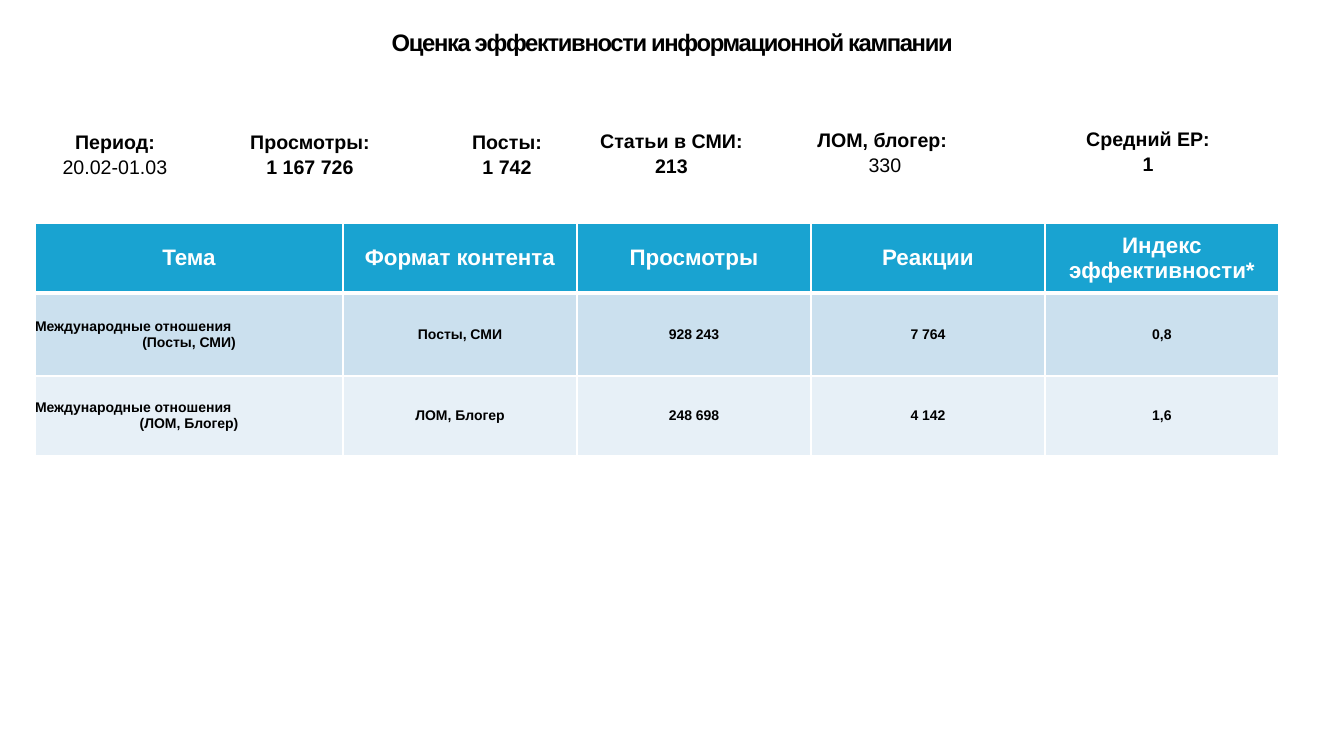
from lxml.etree import SubElement
from pptx import Presentation
from pptx.dml.color import RGBColor
from pptx.enum.text import MSO_ANCHOR, MSO_AUTO_SIZE, PP_ALIGN
from pptx.oxml.ns import qn
from pptx.util import Emu, Pt

COLORS = {"text": "000000", "white": "FFFFFF", "header": "19A3D1",
          "band_dark": "CBE0EE", "band_light": "E7F0F7"}
FONT = "Arial"
EMU_PER_INCH, PX_PER_INCH = 914400, 100.8


def px(length):
    """Turn whole pixels into EMU."""
    return Emu(round(length * EMU_PER_INCH / PX_PER_INCH))


class SlideBuilder:
    """Hold the style and the current slide."""

    def __init__(self, deck):
        """Add a blank slide to the deck."""
        self.slide = deck.slides.add_slide(deck.slide_layouts[6])

    def style(self, para, size, color="text", bold=True, align=PP_ALIGN.CENTER):
        """Set the font and alignment of a paragraph."""
        para.alignment = align
        para.font.name = FONT
        para.font.size = Pt(size)
        para.font.bold = bold
        para.font.color.rgb = RGBColor.from_string(COLORS[color])

    def text(self, left, top, width, height, lines, size, spacing=None):
        """Add a text box from pairs of wording and boldness."""
        box = self.slide.shapes.add_textbox(px(left), px(top), px(width), px(height))
        frame = box.text_frame
        frame.word_wrap = True
        frame.auto_size = MSO_AUTO_SIZE.NONE
        frame.margin_left = frame.margin_right = px(5)
        frame.margin_top = frame.margin_bottom = px(5)
        frame.text = "\n".join(wording for wording, _ in lines)
        for para, (_, bold) in zip(frame.paragraphs, lines):
            self.style(para, size, bold=bold)
            if spacing:
                para.line_spacing = spacing
        return box

    def title(self, wording):
        """Add the tightly spaced slide title."""
        box = self.text(5, 23, 1334, 126, [(wording, True)], 17)
        for span in box.text_frame.paragraphs[0].runs:
            span.font._element.set("spc", "-100")

    def borders(self, cell, bottom):
        """Draw the white borders of a cell."""
        properties = cell._tc.get_or_add_tcPr()
        for index, (side, width) in enumerate(
                (("lnL", 1), ("lnR", 1), ("lnT", 1), ("lnB", bottom))):
            line = SubElement(properties, qn(f"a:{side}"), w=str(Pt(width)))
            fill = SubElement(line, qn("a:solidFill"))
            SubElement(fill, qn("a:srgbClr"), val=COLORS["white"])
            properties.remove(line)
            properties.insert(index, line)

    def cell(self, cell, wording, fill, size, color, bottom):
        """Fill and format one table cell."""
        cell.fill.solid()
        cell.fill.fore_color.rgb = RGBColor.from_string(COLORS[fill])
        cell.vertical_anchor = MSO_ANCHOR.MIDDLE
        cell.margin_left = cell.margin_right = cell.margin_top = cell.margin_bottom = 0
        cell.text = wording
        paras = cell.text_frame.paragraphs
        for para in paras:
            self.style(para, size, color)
        if len(paras) > 1:
            paras[0].alignment = PP_ALIGN.LEFT
        self.borders(cell, bottom)

    def table(self, left, top, widths, heights, rows):
        """Add a table with a header row and banded body rows."""
        table = self.slide.shapes.add_table(
            len(rows), len(widths), px(left), px(top),
            px(sum(widths)), px(sum(heights))).table
        for column, width in zip(table.columns, widths):
            column.width = px(width)
        for index, (row, height, wordings) in enumerate(zip(table.rows, heights, rows)):
            row.height = px(height)
            if index == 0:
                look = ("header", 16, "white", 3)
            else:
                look = ("band_dark" if index % 2 else "band_light", 10, "text", 1)
            for cell, wording in zip(row.cells, wordings):
                self.cell(cell, wording, *look)


METRICS = [
    (40, 123, 150, "Период:", "20.02-01.03", False),
    (223, 123, 174, "Просмотры:", "1 167 726", True),
    (420, 123, 174, "Посты:", "1 742", True),
    (569, 122, 205, "Статьи в СМИ:", "213", True),
    (794, 121, 182, "ЛОМ, блогер: ", "330", False),
    (1057, 120, 182, "Средний ЕР:", "1", True),
]
ROWS = [
    ("Тема", "Формат контента", "Просмотры", "Реакции", "Индекс эффективности*"),
    ("Международные отношения\n(Посты, СМИ)", "Посты, СМИ", "928 243", "7 764", "0,8"),
    ("Международные отношения\n(ЛОМ, Блогер)", "ЛОМ, Блогер", "248 698", "4 142", "1,6"),
]


def main():
    """Build and save the campaign slide."""
    deck = Presentation()
    deck.slide_width, deck.slide_height = px(1344), px(756)
    builder = SlideBuilder(deck)
    builder.title("Оценка эффективности информационной кампании")
    builder.table(35, 223, [308] + [234] * 4, [70, 83, 80], ROWS)
    for left, top, width, label, value, bold in METRICS:
        builder.text(left, top, width, 54, [(label, True), (value, bold)], 14, 1.07)
    deck.save("out.pptx")


if __name__ == "__main__":
    main()
